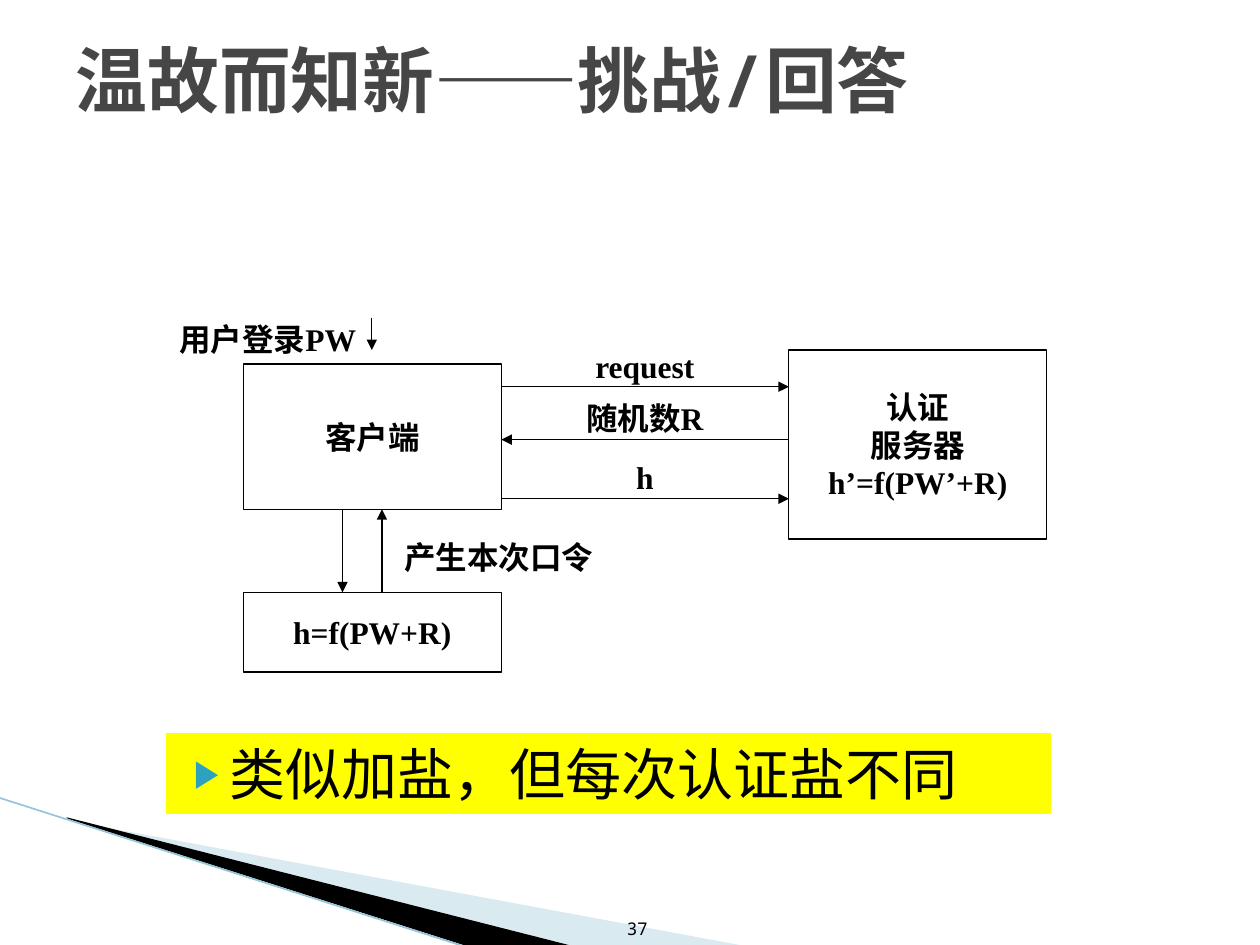
"""Build the slide that reviews challenge/response authentication."""
from lxml import etree
from pptx import Presentation
from pptx.dml.color import RGBColor
from pptx.enum.shapes import MSO_CONNECTOR, MSO_SHAPE
from pptx.enum.text import MSO_ANCHOR, MSO_AUTO_SIZE, PP_ALIGN
from pptx.oxml.ns import qn
from pptx.util import Pt

LEFT, CENTER, RIGHT, JUSTIFY = PP_ALIGN.LEFT, PP_ALIGN.CENTER, PP_ALIGN.RIGHT, PP_ALIGN.JUSTIFY
TOP, MIDDLE, BOTTOM = MSO_ANCHOR.TOP, MSO_ANCHOR.MIDDLE, MSO_ANCHOR.BOTTOM
NO_RESIZE = MSO_AUTO_SIZE.NONE
RECTANGLE, STRAIGHT = MSO_SHAPE.RECTANGLE, MSO_CONNECTOR.STRAIGHT

COLORS = {"ink": "000000", "paper": "FFFFFF", "title": "464646", "highlight": "FFFF00",
          "bullet": "2DA2BF", "pale": "A0CBDC", "edge": "97C5D8"}
SERIF, MONO, CHINESE = "Times New Roman", "Noto Sans Mono", "Noto Sans CJK SC"

TITLE = "温故而知新——挑战/回答"
CONCLUSION = "类似加盐，但每次认证盐不同"
PAGE_NUMBER = "37"
WEDGES = [
    ([(39.6, 468.7), (428.4, 540.7), (328.3, 540.7), (39.6, 468)], "pale", 40),
    ([(38.2, 467.3), (329, 540.7), (267.8, 541.4), (38.9, 468)], "ink", 100),
]
EDGE = (-0.7, 455.8, 267.1, 541.4)

BOX_WIDTH = 147.5
CLIENT_LEFT, SERVER_LEFT = 139, 450.75
CLIENT_RIGHT = CLIENT_LEFT + BOX_WIDTH
CLIENT_TOP, CLIENT_BOTTOM, HASH_TOP = 208, 291, 338.5
BOXES = [
    (["客户端"], CLIENT_LEFT, CLIENT_TOP, CLIENT_BOTTOM - CLIENT_TOP),
    (["认证", "服务器", "h’=f(PW’+R)"], SERVER_LEFT, 200, 108),
    (["h=f(PW+R)"], CLIENT_LEFT, HASH_TOP, 45.5),
]
ARROWS = [
    (CLIENT_RIGHT, 221, SERVER_LEFT, 221),
    (SERVER_LEFT, 251.25, CLIENT_RIGHT, 251.25),
    (CLIENT_RIGHT, 285, SERVER_LEFT, 285),
    (195.75, CLIENT_BOTTOM, 195.75, HASH_TOP),
    (218.25, HASH_TOP, 218.25, CLIENT_BOTTOM),
    (212.5, 181.5, 212.5, 200),
]
LABELS = [
    ("request", 309, 194.5, 119, CENTER),
    ("随机数R", 309, 224.5, 119, CENTER),
    ("h", 309, 258, 119, CENTER),
    ("产生本次口令", 224, 304, 130, LEFT),
    ("用户登录PW", 93.5, 179.5, 119, CENTER),
]
LABEL_HEIGHT = 29


def rgb(name):
    return RGBColor.from_string(COLORS[name])


def place(shape, left, top, width, height):
    shape.left, shape.top, shape.width, shape.height = map(Pt, (left, top, width, height))


def write(shape, lines, size=18, font=SERIF, color="ink", bold=True,
          align=CENTER, anchor=TOP, wrap=True, bullet=None):
    frame = shape.text_frame
    frame.word_wrap, frame.auto_size, frame.vertical_anchor = wrap, NO_RESIZE, anchor
    for index, line in enumerate(lines):
        para = frame.paragraphs[0] if index == 0 else frame.add_paragraph()
        para.alignment, para.space_before = align, Pt(0)
        if bullet:
            add_bullet(para, bullet)
        span = para.add_run()
        span.text = line
        span.font.size, span.font.name, span.font.bold = Pt(size), font, bold
        span.font.color.rgb = rgb(color)
        etree.SubElement(span.font._element, qn("a:ea"), typeface=CHINESE)


def add_bullet(para, character):
    properties = para._p.get_or_add_pPr()
    properties.set("marL", str(Pt(28.8)))
    properties.set("indent", str(Pt(-20.16)))
    tint = etree.SubElement(properties, qn("a:buClr"))
    etree.SubElement(tint, qn("a:srgbClr"), val=COLORS["bullet"])
    etree.SubElement(properties, qn("a:buSzPct"), val="68000")
    etree.SubElement(properties, qn("a:buChar"), char=character)


def paint(shape, fill, line):
    shape.fill.solid()
    shape.fill.fore_color.rgb = rgb(fill)
    shape.line.color.rgb = rgb(line)
    shape.line.width = Pt(0.75)


def add_wedge(page, points, color, opacity):
    builder = page.shapes.build_freeform(*points[0], scale=Pt(1))
    builder.add_line_segments(points[1:], close=True)
    wedge = builder.convert_to_shape()
    wedge.shadow.inherit = False
    wedge.fill.solid()
    wedge.fill.fore_color.rgb = rgb(color)
    wedge.line.fill.background()
    if opacity < 100:
        tint = wedge._element.spPr.find(qn("a:solidFill"))[0]
        etree.SubElement(tint, qn("a:alpha"), val=str(opacity * 1000))


def add_line(page, ends, color="ink", width=0.75, arrow=True):
    line = page.shapes.add_connector(STRAIGHT, *map(Pt, ends))
    line.line.color.rgb = rgb(color)
    line.line.width = Pt(width)
    if arrow:
        etree.SubElement(line.line._get_or_add_ln(), qn("a:tailEnd"), type="triangle")
    etree.SubElement(line._element.spPr, qn("a:effectLst"))


def add_text(page, text, left, top, width, height, **style):
    box = page.shapes.add_textbox(*map(Pt, (left, top, width, height)))
    write(box, [text], **style)


def main():
    deck = Presentation()
    deck.slide_width, deck.slide_height = Pt(720), Pt(540)
    page = deck.slides.add_slide(deck.slide_layouts[1])
    title, conclusion = page.placeholders

    for wedge in WEDGES:
        add_wedge(page, *wedge)
    add_line(page, EDGE, color="edge", width=0.95, arrow=False)
    add_text(page, PAGE_NUMBER, 337, 504.75, 40.25, 35.25, size=10, font=MONO,
             bold=False, align=RIGHT, anchor=BOTTOM)

    place(title, 36, 0, 648, 90)
    write(title, [TITLE], size=41, font=MONO, color="title", align=LEFT, anchor=MIDDLE)

    for lines, left, top, height in BOXES:
        box = page.shapes.add_shape(RECTANGLE, *map(Pt, (left, top, BOX_WIDTH, height)))
        box.shadow.inherit = False
        paint(box, "paper", "ink")
        write(box, lines, anchor=MIDDLE, wrap=False)
    for ends in ARROWS:
        add_line(page, ends)
    for text, left, top, width, align in LABELS:
        add_text(page, text, left, top, width, LABEL_HEIGHT, align=align)

    place(conclusion, 95, 419, 505, 46)
    paint(conclusion, "highlight", "highlight")
    write(conclusion, [CONCLUSION], size=32, font=CHINESE, bold=False,
          align=JUSTIFY, anchor=MIDDLE, bullet="▶")
    deck.save("out.pptx")


if __name__ == "__main__":
    main()
